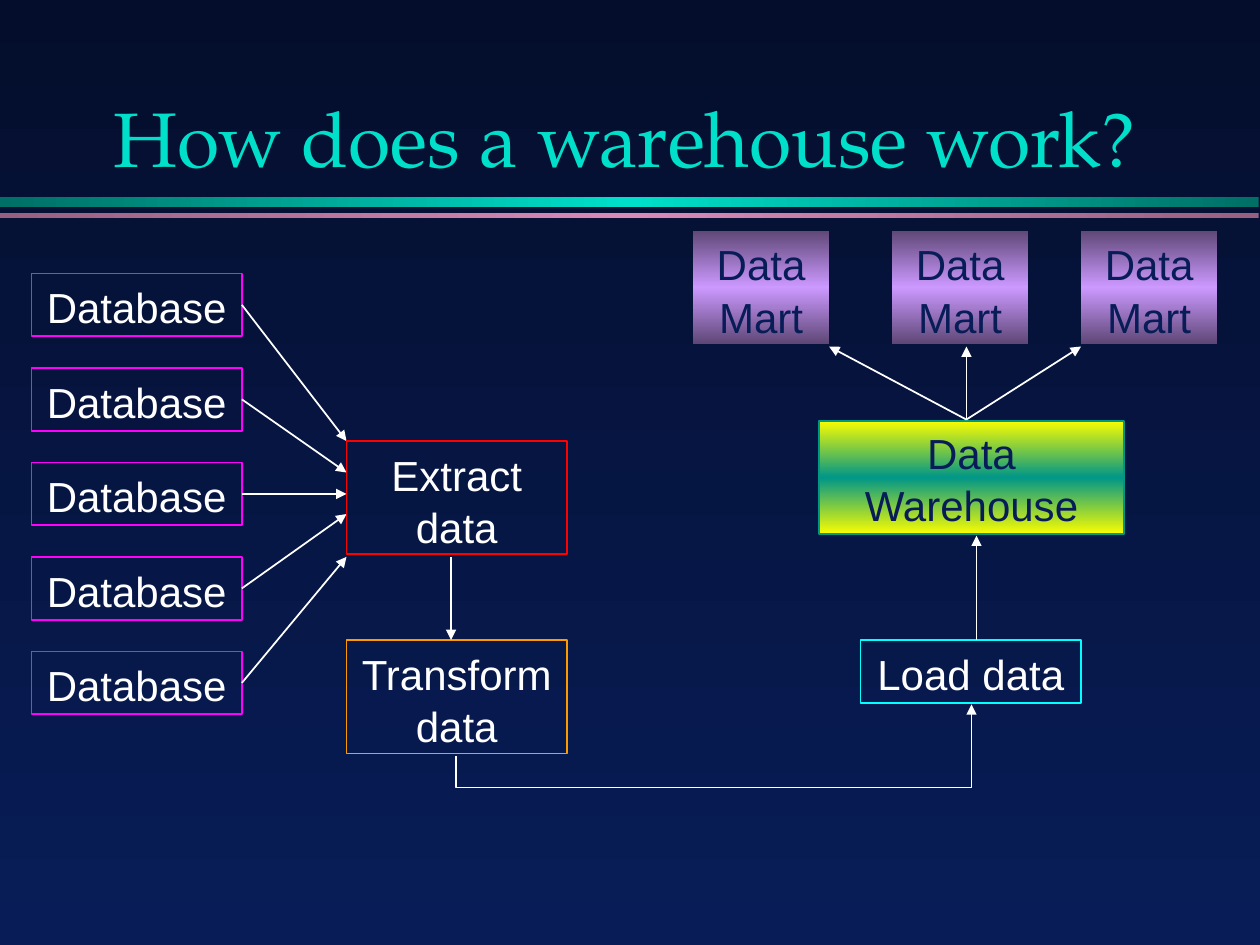
from copy import deepcopy

from lxml import etree
from pptx import Presentation
from pptx.dml.color import RGBColor
from pptx.enum.shapes import MSO_CONNECTOR as LINK, MSO_SHAPE
from pptx.enum.text import MSO_ANCHOR as ANCHOR, PP_ALIGN
from pptx.oxml.ns import qn
from pptx.util import Inches, Pt

COLORS = {
    "night": "040E2C", "navy": "081D58", "white": "FFFFFF",
    "teal": "00DFCA", "dark_teal": "006F65", "pink": "D989B8", "dark_pink": "976080",
    "magenta": "FF00FF", "red": "FF0000", "orange": "FF9900", "cyan": "00FFFF",
    "yellow": "FAFD00", "green": "009688", "purple": "CC99FF", "dark_purple": "5E4776",
}


def rgb(name):
    return RGBColor.from_string(COLORS[name])


class Diagram:
    title_font, body_font = "TeX Gyre Pagella", "Arial"
    title_size, body_size = 44, 24
    line_width = Pt(1)

    def __init__(self, slide):
        self.slide = slide

    def gradient(self, fill, names, angle):
        """Spread the named colours evenly; the angle runs counter-clockwise."""
        fill.gradient()
        fill.gradient_angle = angle
        first = fill.gradient_stops[0]._gs
        for _ in names[2:]:
            first.addnext(deepcopy(first))
        for i, (stop, name) in enumerate(zip(fill.gradient_stops, names)):
            stop.position = i / (len(names) - 1)
            stop.color.rgb = rgb(name)

    def label(self, frame, text, font, size, color, anchor):
        frame.word_wrap = True
        frame.vertical_anchor = anchor
        paragraph = frame.paragraphs[0]
        paragraph.alignment = PP_ALIGN.CENTER
        run = paragraph.add_run()
        run.text = text
        run.font.name, run.font.size = font, Pt(size)
        run.font.color.rgb = rgb(color)

    def title(self, text, left, top, width, height):
        box = self.slide.shapes.add_textbox(*map(Inches, (left, top, width, height)))
        self.label(box.text_frame, text, self.title_font, self.title_size, "teal", ANCHOR.BOTTOM)

    def box(self, left, top, width, height, text="", outline=None, shades=None,
            angle=270, color="white", anchor=ANCHOR.TOP):
        shape = self.slide.shapes.add_shape(
            MSO_SHAPE.RECTANGLE, *map(Inches, (left, top, width, height)))
        shape.shadow.inherit = False
        if shades:
            self.gradient(shape.fill, shades, angle)
        else:
            shape.fill.background()
        if outline:
            shape.line.color.rgb = rgb(outline)
            shape.line.width = self.line_width
        else:
            shape.line.fill.background()
        if text:
            self.label(shape.text_frame, text, self.body_font, self.body_size, color, anchor)
            shape.text_frame.paragraphs[0].line_spacing = 1.04
        return shape

    def arrow(self, start, end, kind=LINK.STRAIGHT):
        link = self.slide.shapes.add_connector(kind, *map(Inches, (*start, *end)))
        link.line.color.rgb = rgb("white")
        link.line.width = self.line_width
        etree.SubElement(link.line._get_or_add_ln(), qn("a:tailEnd"), type="triangle")
        etree.SubElement(link._element.spPr, qn("a:effectLst"))
        return link

    def elbow_below(self, start, end, low):
        """Arrow that drops from start to the level low, runs across and rises to end."""
        (x1, y1), (x2, y2) = start, end
        mid_x, mid_y = (x1 + x2) / 2, (y1 + y2) / 2
        half_w, half_h = (y1 - y2) / 2, (x2 - x1) / 2
        link = self.arrow((mid_x + half_w, mid_y + half_h),
                          (mid_x - half_w, mid_y - half_h), LINK.ELBOW)
        properties = link._element.spPr
        properties.find(qn("a:xfrm")).set("rot", str(90 * 60000))
        bend = round((y1 - low) / (y1 - y2) * 100000)
        adjustments = properties.find(qn("a:prstGeom")).get_or_add_avLst()
        etree.SubElement(adjustments, qn("a:gd"), name="adj1", fmla=f"val {bend}")


def main():
    deck = Presentation()
    deck.slide_width, deck.slide_height = Inches(10), Inches(7.5)
    slide = deck.slides.add_slide(deck.slide_layouts[6])
    diagram = Diagram(slide)
    diagram.gradient(slide.background.fill, ("night", "navy"), 270)

    for top, height, edge, center in ((1.56, 0.08, "dark_teal", "teal"),
                                      (1.69, 0.04, "dark_pink", "pink")):
        diagram.box(0, top, 9.99, height, shades=(edge, center, edge), angle=0)
    diagram.title("How does a warehouse work?", 0.67, 0.25, 8.58, 1.25)

    for row, arrival in enumerate((3.5, 3.75, 3.92, 4.08, 4.42)):
        top = 2.17 + 0.75 * row
        database = diagram.box(0.25, top, 1.67, 0.5, "Database", "magenta")
        feed = diagram.arrow((1.92, top + 0.25), (2.75, arrival))
        feed.begin_connect(database, 3)

    diagram.box(2.75, 3.5, 1.75, 0.9, "Extract data", "red")
    diagram.box(2.75, 5.08, 1.75, 0.9, "Transform data", "orange")
    diagram.box(6.83, 5.08, 1.75, 0.5, "Load data", "cyan")
    diagram.arrow((3.58, 4.42), (3.58, 5.08))
    diagram.elbow_below((3.62, 6), (7.71, 5.59), 6.25)

    diagram.box(6.5, 3.34, 2.42, 0.9, "Data Warehouse", "green",
                ("yellow", "green", "yellow"), color="navy", anchor=ANCHOR.MIDDLE)
    diagram.arrow((7.75, 5.08), (7.75, 4.25))

    for left, arrival in ((5.5, 6.58), (7.08, 7.67), (8.58, 8.58)):
        diagram.box(left, 1.83, 1.08, 0.9, "Data Mart",
                    shades=("dark_purple", "purple", "dark_purple"), color="navy")
        diagram.arrow((7.67, 3.33), (arrival, 2.75))

    deck.save("out.pptx")


if __name__ == "__main__":
    main()
